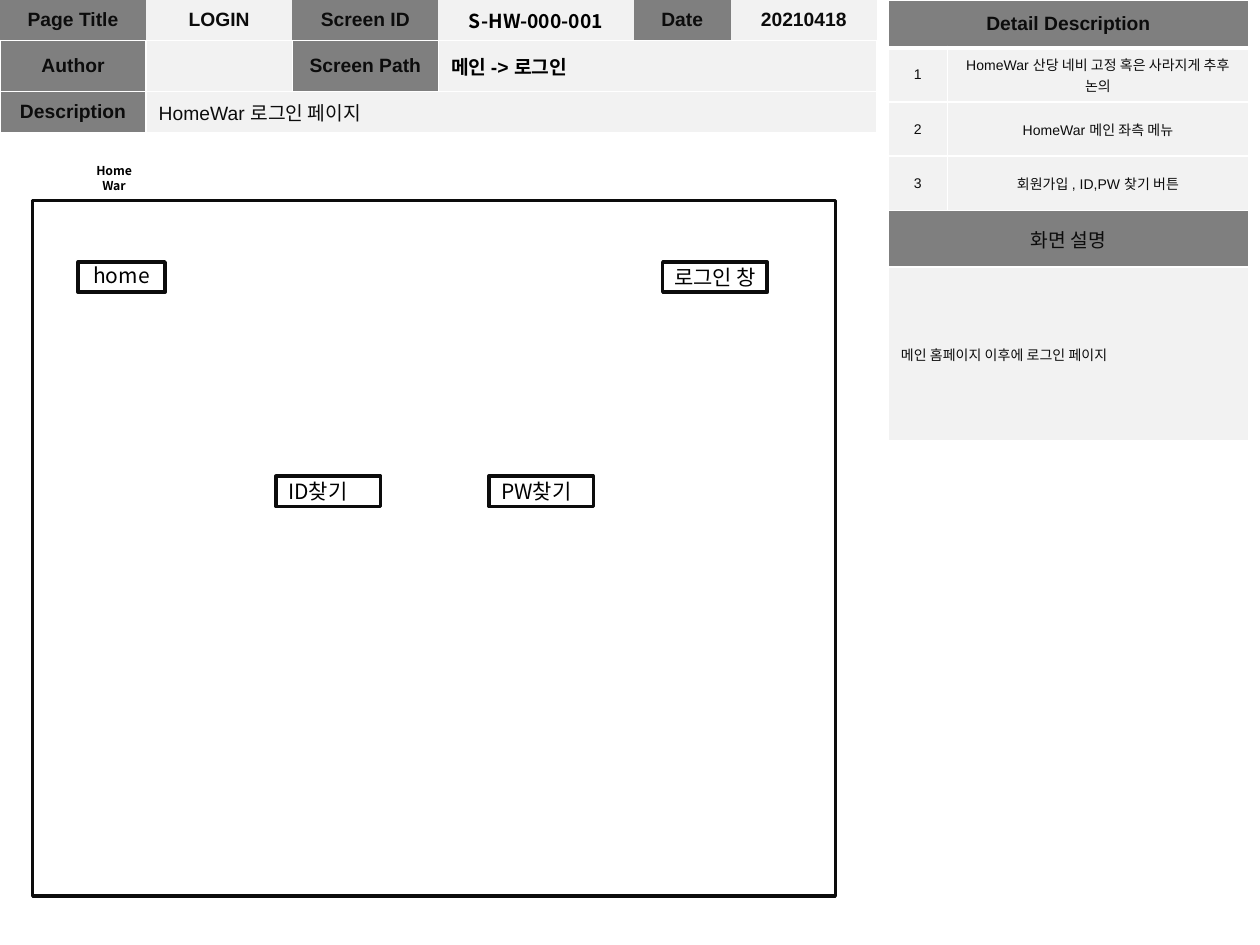
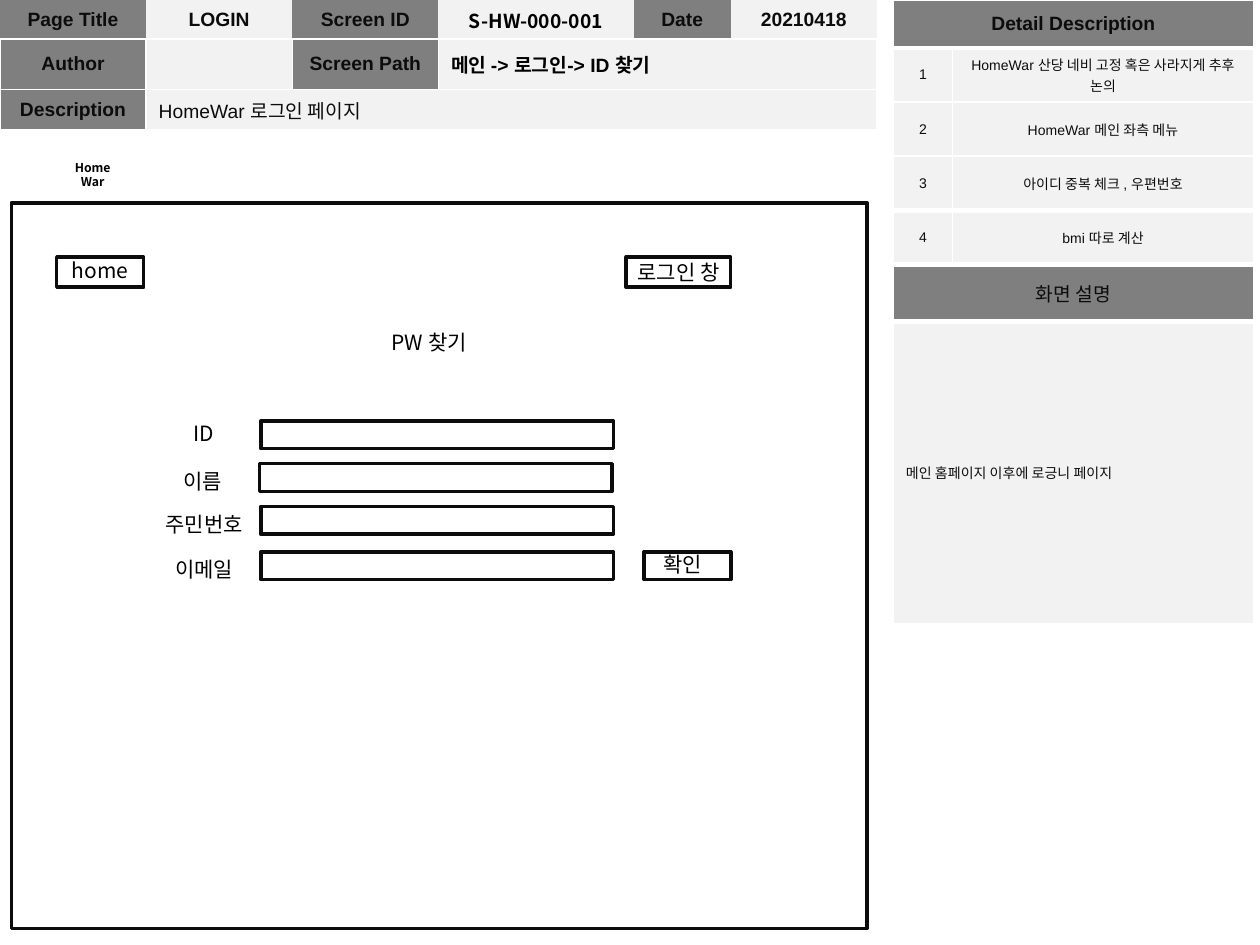
from lxml.etree import SubElement
from pptx import Presentation
from pptx.dml.color import RGBColor
from pptx.enum.shapes import MSO_SHAPE
from pptx.enum.text import MSO_ANCHOR, MSO_AUTO_SIZE, PP_ALIGN
from pptx.oxml.ns import qn
from pptx.util import Inches, Pt

HUES = {"head": "7F7F7F", "body": "F2F2F2", "ink": "0C0C0C",
        "black": "000000", "rule": "FFFFFF"}
SANS, KOREAN = "Arial", "Noto Sans CJK KR"
LEFT, MID = PP_ALIGN.LEFT, PP_ALIGN.CENTER
COLS, ROWS = 100, 75  # grid over the whole slide


def hue(name):
    return RGBColor.from_string(HUES[name])


def write(frame, text, size=12, face=KOREAN, color="black", bold=False, align=MID):
    para = frame.paragraphs[0]
    para.alignment = align
    run = para.add_run()
    run.text = text
    font = run.font
    font.size, font.name, font.bold = Pt(size), face, bold
    font.color.rgb = hue(color)
    SubElement(run._r.get_or_add_rPr(), qn("a:ea"), typeface=KOREAN)


def edge(cell, **widths):
    """Set the cell's borders in points; 0 means no line."""
    props = cell._tc.get_or_add_tcPr()
    for side in "LRTB":
        width = widths.get(side, 1)
        line = SubElement(props, qn(f"a:ln{side}"), w=str(Pt(width)))
        if width:
            fill = SubElement(line, qn("a:solidFill"))
            SubElement(fill, qn("a:srgbClr"), val=HUES["rule"])
        else:
            SubElement(line, qn("a:noFill"))


class Board:
    def __init__(self):
        self.deck = Presentation()
        self.deck.slide_width, self.deck.slide_height = Inches(10), Inches(7.5)
        self.slide = None

    def page(self):
        self.slide = self.deck.slides.add_slide(self.deck.slide_layouts[6])

    def area(self, x, y, w, h):
        wide = self.deck.slide_width / COLS
        high = self.deck.slide_height / ROWS
        return [round(v) for v in (x * wide, y * high, w * wide, h * high)]

    def box(self, x, y, w, h):
        shape = self.slide.shapes.add_shape(MSO_SHAPE.RECTANGLE, *self.area(x, y, w, h))
        shape.shadow.inherit = False
        shape.fill.background()
        shape.line.color.rgb = hue("ink")
        shape.line.width = Pt(2)

    def label(self, text, x, y, w=9, h=3, **style):
        frame = self.slide.shapes.add_textbox(*self.area(x, y, w, h)).text_frame
        frame.word_wrap = True
        frame.auto_size = MSO_AUTO_SIZE.SHAPE_TO_FIT_TEXT
        write(frame, text, **style)

    def button(self, text, x, y, w, h=2.4, pad=0, rise=0.3, **style):
        """A box with a text area that is wider by pad on both sides."""
        self.label(text, x - pad, y - rise, w + 2 * pad, **style)
        self.box(x, y, w, h)

    def table(self, x, cols, rows):
        shape = self.slide.shapes.add_table(
            len(rows), len(cols), *self.area(x, 0, sum(cols), sum(rows)))
        grid = shape.table
        grid.first_row = grid.horz_banding = False
        for col, w in zip(grid.columns, cols):
            col.width = self.area(0, 0, w, 0)[2]
        for row, h in zip(grid.rows, rows):
            row.height = self.area(0, 0, 0, h)[3]
        return grid

    def cell(self, grid, row, col, text, span=1, fill="body", lines=None, **style):
        first = grid.cell(row, col)
        for step in range(span):
            part = grid.cell(row, col + step)
            edge(part, **(lines or {}))
            part.fill.solid()
            part.fill.fore_color.rgb = hue(fill)
        if span > 1:
            first.merge(grid.cell(row, col + span - 1))
        first.vertical_anchor = MSO_ANCHOR.MIDDLE
        if text:
            write(first.text_frame, text,
                  **{"size": 11, "face": SANS, "color": "ink", **style})

    def header(self, trail):
        grid = self.table(0, [11.6, 11.6, 11.6, 15.5, 7.7, 11.6], [3.1, 3.2, 3.2])
        # row, column, label, value, columns of the value, its format
        pairs = [
            (0, 0, "Page Title", "LOGIN", 1, {}),
            (0, 2, "Screen ID", "S-HW-000-001", 1, {"face": KOREAN, "color": "black"}),
            (0, 4, "Date", "20210418", 1, {}),
            (1, 0, "Author", "", 1, {}),
            (1, 2, "Screen Path", trail, 3, {"align": LEFT, "color": "black"}),
            (2, 0, "Description", "HomeWar 로그인 페이지", 5,
             {"align": LEFT, "bold": False}),
        ]
        for row, col, name, value, span, style in pairs:
            lines = {} if row else {"L": 0, "R": 0, "T": 0}
            self.cell(grid, row, col, name, fill="head", lines=lines, bold=True)
            self.cell(grid, row, col + 1, value, span, lines=lines,
                      **{"bold": True, **style})

    def detail(self, x, notes, about, tall, thick):
        """Numbered notes and a summary; thick holds rows with a 3 pt lower edge."""
        heights = [3.8] + [4.3] * len(notes) + [4.5, tall]
        grid = self.table(x, [4.7, 23.9], heights)

        def lines(row):
            return {"T": 3 if row - 1 in thick else 1, "B": 3 if row in thick else 1}

        self.cell(grid, 0, 0, "Detail Description", 2, "head", lines(0), bold=True)
        for row, note in enumerate(notes, 1):
            for col, text in enumerate((str(row), note)):
                self.cell(grid, row, col, text, lines=lines(row), size=8)
        row = len(notes) + 1
        self.cell(grid, row, 0, "화면 설명", 2, "head", lines(row))
        self.cell(grid, row + 1, 0, about, 2, lines=lines(row + 1), size=8, align=LEFT)

    def menu(self, tag, home, login, y):
        """Site name over the frame, home and login buttons inside it."""
        self.label("HomeWar", *tag, 5.1, 3.4, size=7, bold=True)
        self.button("home", home, y, 6.9, pad=1.05, rise=0.45)
        self.button("로그인 창", login, y, 8.3, pad=1.45)


def main():
    board = Board()
    notes = ["HomeWar 산당 네비 고정 혹은 사라지게 추후 논의", "HomeWar 메인 좌측 메뉴"]

    # Login page
    board.page()
    board.header("메인 -> 로그인")
    board.box(2.6, 15.9, 63.7, 55.2)
    board.detail(70.5, notes + ["회원가입 , ID,PW 찾기 버튼"],
                 "메인 홈페이지 이후에 로그인 페이지", 13.8, {0})
    board.menu((6.5, 12.5), 6.2, 52.6, 20.8)
    for text, x in (("ID찾기", 21.9), ("PW찾기", 38.8)):
        board.button(text, x, 37.8, 8.3, align=LEFT)

    # Password search page
    board.page()
    board.header("메인 -> 로그인-> ID 찾기")
    board.box(0.9, 16.1, 67.9, 57.6)
    board.detail(70.9, notes + ["아이디 중복 체크 , 우편번호", "bmi 따로 계산"],
                 "메인 홈페이지 이후에 로긍니 페이지", 24, {0, 3, 4, 5})
    board.menu((4.8, 12.2), 4.5, 49.7, 20.4)
    board.label("PW 찾기", 30.1, 25.7, align=LEFT)

    # Form fields: name, left, top, rise of the name
    fields = [("ID", 20.7, 33.4, 0.5), ("이름", 20.6, 36.8, 0.1),
              ("주민번호", 20.7, 40.2, 0.1), ("이메일", 20.7, 43.8, 0.1)]
    for name, x, y, rise in fields:
        board.box(x, y, 28, 2.2)
        board.label(name, x - 9, y - rise)
    board.button("확인", 51.1, 43.8, 6.9, 2.2, pad=-0.55, rise=0.5, align=LEFT)

    board.deck.save("out.pptx")


if __name__ == "__main__":
    main()
